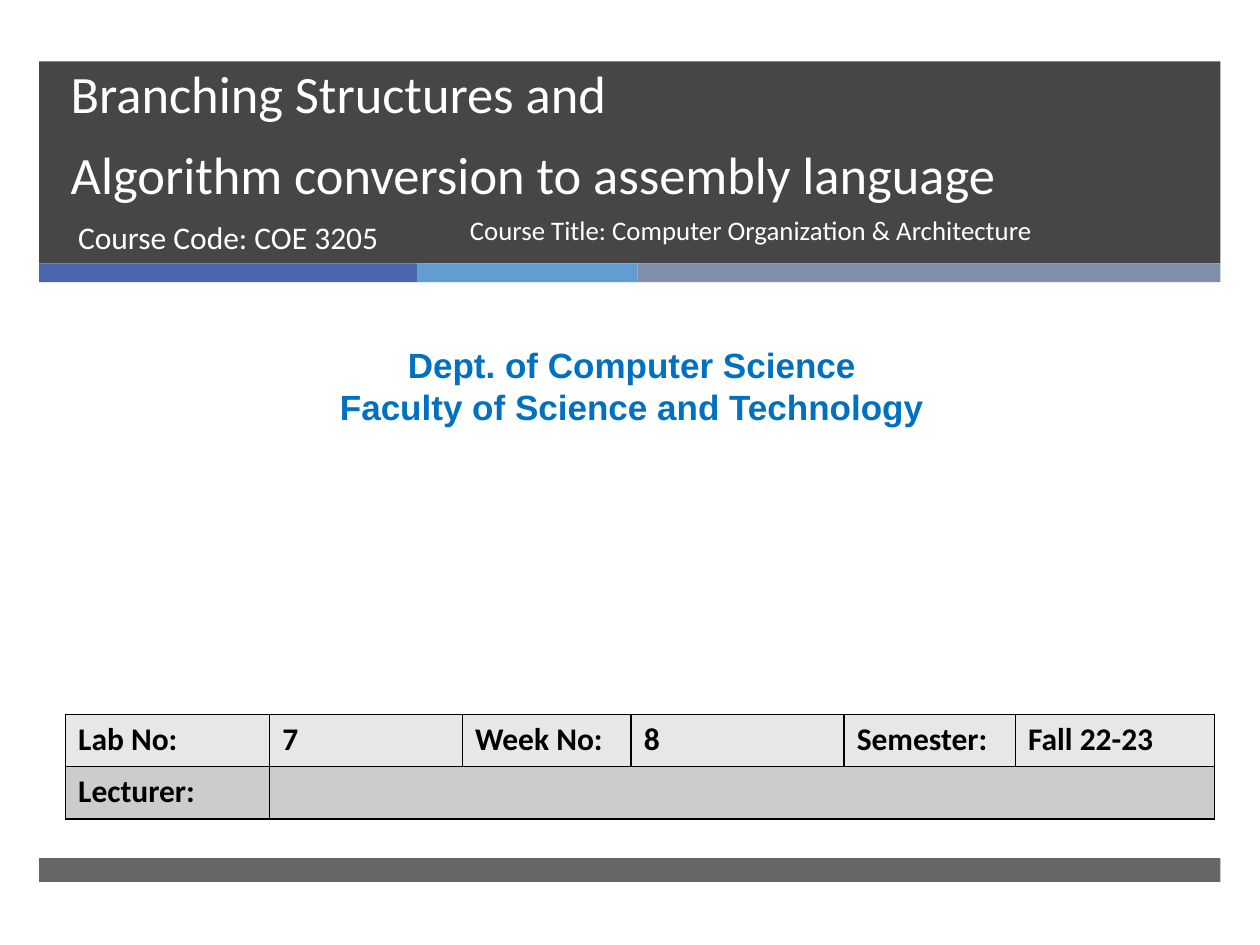
from pptx import Presentation
from pptx.dml.color import RGBColor
from pptx.enum.shapes import MSO_SHAPE
from pptx.enum.text import MSO_ANCHOR, MSO_AUTO_SIZE, PP_ALIGN
from pptx.oxml import parse_xml
from pptx.oxml.ns import nsdecls, qn
from pptx.util import Pt
from lxml.etree import SubElement

HUES = {
    "dark": "262626", "navy": "4A66AC", "sky": "629DD1", "slate": "7F8FA9",
    "white": "FFFFFF", "blue": "0070C0", "black": "000000",
    "light": "E7E7E7", "grey": "CCCCCC",
}


def hue(name):
    return RGBColor.from_string(HUES[name])


def place(shape, left, top, width, height):
    shape.left, shape.top = Pt(left), Pt(top)
    shape.width, shape.height = Pt(width), Pt(height)


def style(frame, size, color, face="Calibri", bold=False, align=PP_ALIGN.LEFT):
    for para in frame.paragraphs:
        para.alignment = align
        para.space_before = Pt(0)
        for run in para.runs:
            run.font.size = Pt(size)
            run.font.name = face
            run.font.bold = bold
            run.font.color.rgb = hue(color)


def add_bar(slide, box, color, alpha=None):
    bar = slide.shapes.add_shape(MSO_SHAPE.RECTANGLE, *map(Pt, box))
    bar.shadow.inherit = False
    bar.line.fill.background()
    bar.fill.solid()
    bar.fill.fore_color.rgb = hue(color)
    if alpha:
        tint = bar.element.spPr.find(qn("a:solidFill"))[0]
        SubElement(tint, qn("a:alpha")).set("val", str(alpha * 1000))


def add_text(slide, box, text):
    frame = slide.shapes.add_textbox(*map(Pt, box)).text_frame
    frame.word_wrap = True
    frame.text = text
    return frame


def fill_holder(holder, box, text, anchor):
    holder.element.getparent().append(holder.element)
    place(holder, *box)
    frame = holder.text_frame
    frame.text = text
    frame.auto_size = MSO_AUTO_SIZE.NONE
    frame.vertical_anchor = anchor
    return frame


def add_header(slide, left, top, width, height):
    add_bar(slide, (left, top, width, height), "dark", 85)
    start = left
    for color, span in (("navy", 216), ("sky", 126), ("slate", width - 342)):
        add_bar(slide, (start, top + height, span, 10.8), color)
        start += span

    title = fill_holder(
        slide.shapes.title, (left + 10.8, top, 615, 85.7),
        "Branching Structures and\vAlgorithm conversion to assembly language",
        MSO_ANCHOR.BOTTOM)
    style(title, 30, "white")
    title.paragraphs[0].line_spacing = Pt(46)

    row = top + 85.7
    code = fill_holder(slide.placeholders[1], (left + 15, row, 220, 38),
                       "Course Code: COE 3205", MSO_ANCHOR.TOP)
    style(code, 18, "white")

    course = add_text(slide, (left + 239, row, 338, 38),
                      "Course Title: Computer Organization & Architecture")
    style(course, 15.3, "white")
    course.paragraphs[0].line_spacing = 0.9


def add_dept(slide, *box):
    frame = add_text(slide, box,
                     "Dept. of Computer Science\nFaculty of Science and Technology")
    style(frame, 20, "blue", "Arial", True, PP_ALIGN.CENTER)


def add_edges(cell):
    props = cell._tc.get_or_add_tcPr()
    for spot, side in enumerate(("lnL", "lnR", "lnT", "lnB")):
        props.insert(spot, parse_xml(
            f'<a:{side} {nsdecls("a")} w="{Pt(1)}"><a:solidFill>'
            f'<a:srgbClr val="{HUES["black"]}"/></a:solidFill></a:{side}>'))


def add_details(slide, left, top, width, height):
    rows = [["Lab No:", "7", "Week No:", "8", "Semester:", "Fall 22-23"],
            ["Lecturer:"] + [""] * 5]
    parts = (1.62, 1.53, 1.34, 1.69, 1.36, 1.58)
    table = slide.shapes.add_table(
        len(rows), len(parts), Pt(left), Pt(top), Pt(width), Pt(height)).table
    for col, part in zip(table.columns, parts):
        col.width = Pt(round(width * part / sum(parts), 2))
    for r, (texts, color) in enumerate(zip(rows, ("light", "grey"))):
        for c, text in enumerate(texts):
            cell = table.cell(r, c)
            cell.text = text
            cell.fill.solid()
            cell.fill.fore_color.rgb = hue(color)
            style(cell.text_frame, 18, "black", bold=True)
            add_edges(cell)
    table.cell(1, 1).merge(table.cell(1, 5))


def main():
    deck = Presentation()
    deck.slide_width, deck.slide_height = Pt(720), Pt(540)
    slide = deck.slides.add_slide(deck.slide_layouts[0])
    add_header(slide, 22.4, 35, 675, 115.5)
    add_bar(slide, (22.4, 490.3, 675, 13.7), "dark", 70)
    add_dept(slide, 5.8, 193, 710.6, 55.4)
    add_details(slide, 37.5, 408.2, 656.6, 59.8)
    deck.save("out.pptx")


if __name__ == "__main__":
    main()
